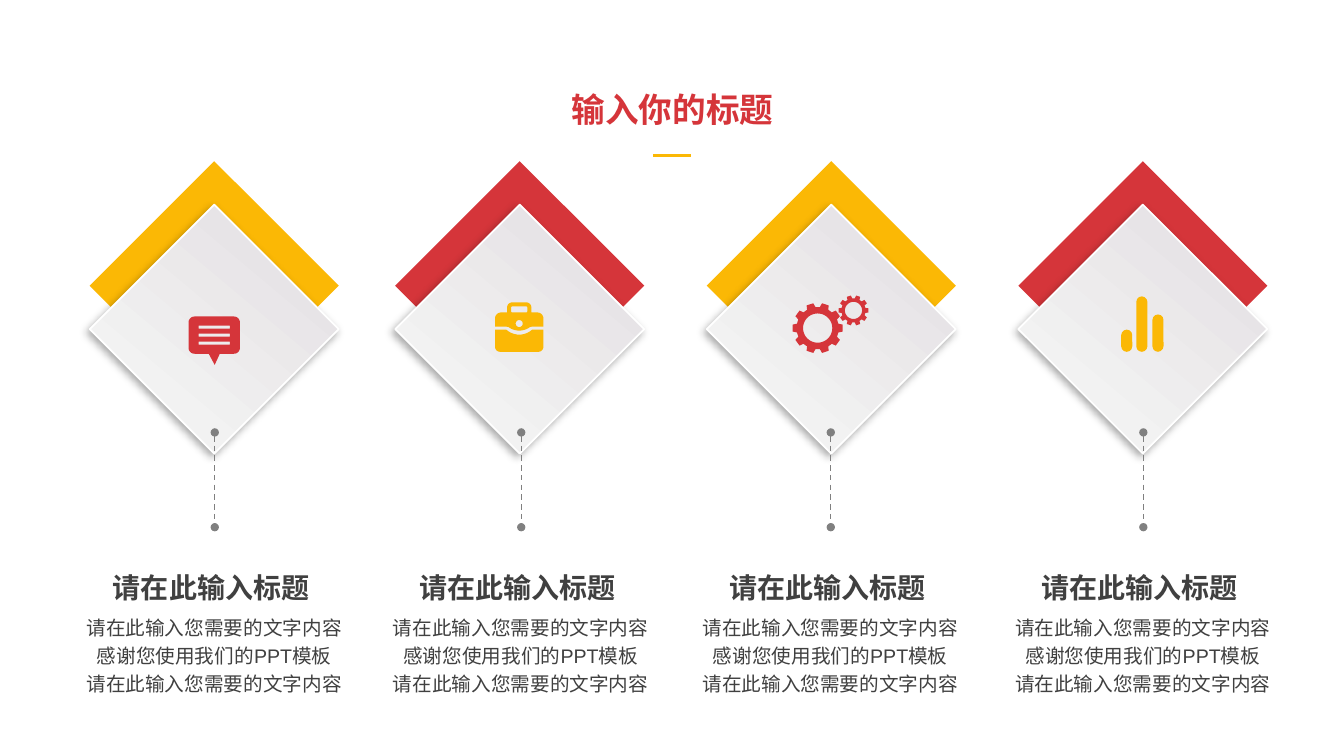
from dataclasses import dataclass
from math import cos, radians, sin

from lxml import etree
from pptx import Presentation
from pptx.dml.color import RGBColor
from pptx.enum.dml import MSO_LINE
from pptx.enum.shapes import MSO_CONNECTOR, MSO_SHAPE
from pptx.enum.text import PP_ALIGN
from pptx.oxml.ns import qn
from pptx.util import Emu, Pt

PX = 9144  # one px is a hundredth of an inch
CENTER = PP_ALIGN.CENTER
DASH = MSO_LINE.DASH
STRAIGHT = MSO_CONNECTOR.STRAIGHT
DIAMOND = MSO_SHAPE.DIAMOND
ROUNDED = MSO_SHAPE.ROUNDED_RECTANGLE


@dataclass(frozen=True)
class Theme:
    red: str = "D5353A"
    yellow: str = "FBB805"
    text: str = "404040"
    stem: str = "808080"
    white: str = "FFFFFF"
    card_dark: str = "E2DDE1"
    card_light: str = "F2F2F2"
    latin: str = "Arial"
    chinese: str = "Noto Sans CJK SC"
    title_size: int = 24
    heading_size: int = 20
    body_size: int = 14


THEME = Theme()
TITLE = "输入你的标题"
HEADING = "请在此输入标题"
BODY = ["请在此输入您需要的文字内容", "感谢您使用我们的PPT模板", "请在此输入您需要的文字内容"]


def px(value):
    return Emu(round(value * PX))


def rgb(value):
    return RGBColor.from_string(value)


# Basic elements
def paint(shape, color):
    shape.shadow.inherit = False
    shape.fill.solid()
    shape.fill.fore_color.rgb = rgb(color)
    shape.line.fill.background()


def add_preset(shapes, preset, left, top, width, height, color):
    shape = shapes.add_shape(preset, px(left), px(top), px(width), px(height))
    paint(shape, color)
    return shape


def add_outline(shapes, contours, color):
    emu_contours = [[(px(x), px(y)) for x, y in contour] for contour in contours]
    builder = shapes.build_freeform(*emu_contours[0][0], scale=1.0)
    builder.add_line_segments(emu_contours[0][1:], close=True)
    for contour in emu_contours[1:]:
        builder.move_to(*contour[0])
        builder.add_line_segments(contour[1:], close=True)
    paint(builder.convert_to_shape(), color)


def add_text(slide, lines, left, top, width, height, *, size, color,
             font=THEME.latin, bold=False, wrap=True, spacing=None):
    box = slide.shapes.add_textbox(px(left), px(top), px(width), px(height))
    frame = box.text_frame
    frame.word_wrap = wrap
    for index, line in enumerate(lines):
        paragraph = frame.paragraphs[0] if index == 0 else frame.add_paragraph()
        paragraph.alignment = CENTER
        if spacing:
            paragraph.line_spacing = spacing
        run = paragraph.add_run()
        run.text = line
        run.font.name = font
        run.font.size = Pt(size)
        run.font.bold = bold
        run.font.color.rgb = rgb(color)
        properties = run.font._element
        etree.SubElement(properties, qn("a:ea"), typeface=THEME.chinese)


def add_line(slide, start, end, color, weight, dotted_ends=False):
    connector = slide.shapes.add_connector(STRAIGHT, *map(px, start + end))
    connector.line.color.rgb = rgb(color)
    connector.line.width = Pt(weight)
    if dotted_ends:
        connector.line.dash_style = DASH
        line = connector.line._get_or_add_ln()
        for tag in ("a:headEnd", "a:tailEnd"):
            etree.SubElement(line, qn(tag), type="oval")
    etree.SubElement(connector._element.spPr, qn("a:effectLst"))


def add_card(slide, left, top, size):
    card = add_preset(slide.shapes, DIAMOND, left, top, size, size, THEME.card_light)
    card.fill.gradient()
    card.fill.gradient_angle = 230
    stops = ((0, THEME.card_dark), (0.76, THEME.card_light))
    for stop, (position, color) in zip(card.fill.gradient_stops, stops):
        stop.position = position
        stop.color.rgb = rgb(color)
    card.line.color.rgb = rgb(THEME.white)
    card.line.width = Pt(1.25)
    effects = card._element.spPr.find(qn("a:effectLst"))
    shadow = etree.SubElement(effects, qn("a:outerShdw"), blurRad=str(Pt(6)),
                              dist=str(Pt(3)), dir="8100000", algn="tr", rotWithShape="0")
    black = etree.SubElement(shadow, qn("a:srgbClr"), val="000000")
    etree.SubElement(black, qn("a:alpha"), val="32000")


# Outline geometry, with angles in degrees clockwise from the right
def arc(x, y, radius, start, end, steps=12):
    angles = [radians(start + (end - start) * step / steps) for step in range(steps + 1)]
    return [(x + radius * cos(angle), y + radius * sin(angle)) for angle in angles]


def circle(x, y, radius):
    return arc(x, y, radius, 0, 360, 48)[:-1]


def rectangle(left, top, right, bottom):
    return [(left, top), (right, top), (right, bottom), (left, bottom)]


def rounded(left, top, right, bottom, radius):
    return (arc(left + radius, top + radius, radius, 180, 270)
            + arc(right - radius, top + radius, radius, 270, 360)
            + arc(right - radius, bottom - radius, radius, 0, 90)
            + arc(left + radius, bottom - radius, radius, 90, 180))


def gear(x, y, radius, root, hole):
    teeth = []
    for angle in range(0, 360, 36):
        for turn, reach in ((-12, root), (-8, radius), (8, radius), (12, root)):
            teeth += arc(x, y, reach, angle + turn, angle + turn, 1)[:1]
    return [teeth, circle(x, y, hole)]


# Icons
def draw_chat(shapes, color):
    add_outline(shapes, [[(206, 349), (219, 349), (213, 362)]], color)
    text_bars = [rectangle(197, top, 228, top + 3) for top in (323, 331, 339)]
    add_outline(shapes, [rounded(187, 314, 238, 351, 6)] + text_bars, color)


def draw_briefcase(shapes, color):
    lower = ([(491, 327)] + arc(515, 313, 19, 132, 48) + [(539, 327)]
             + arc(534, 344, 5, 0, 90) + arc(496, 344, 5, 90, 180))
    upper = (arc(497, 316, 6, 180, 270) + [(503, 310)]
             + arc(508, 305, 5, 180, 270) + arc(522, 305, 5, 270, 360)
             + [(527, 310)] + arc(533, 316, 6, 270, 360) + [(539, 324)]
             + arc(515, 310, 18, 52, 128) + [(491, 324)])
    add_outline(shapes, [lower], color)
    add_outline(shapes, [upper, rounded(507, 304, 523, 310, 1), circle(515, 321, 3.5)], color)


def draw_gears(shapes, color):
    add_outline(shapes, gear(811, 325.5, 25, 21, 14.5), color)
    add_outline(shapes, gear(846.5, 308, 15, 12, 8.5), color)


def draw_bars(shapes, color):
    for left, top in ((1112, 327), (1127, 294), (1143, 312)):
        bar = add_preset(shapes, ROUNDED, left, top, 11, 349 - top, color)
        bar.adjustments[0] = 0.5


# One column: roof, card, icon, stem and texts
def add_column(slide, left, stem, draw_icon, roof_color, icon_color):
    add_preset(slide.shapes, DIAMOND, left, 160, 247, 247, roof_color)
    add_card(slide, left, 203, 247)
    draw_icon(slide.shapes.add_group_shape().shapes, icon_color)
    add_line(slide, (stem, 429), (stem, 523), THEME.stem, 1, dotted_ends=True)
    add_text(slide, [HEADING], stem - 112, 561, 217, 44, size=THEME.heading_size,
             color=THEME.text, bold=True, wrap=False)
    add_text(slide, BODY, stem - 167, 601, 333, 93, size=THEME.body_size,
             color=THEME.text, spacing=1.2)


def main():
    presentation = Presentation()
    presentation.slide_width, presentation.slide_height = px(1333), px(750)
    slide = presentation.slides.add_slide(presentation.slide_layouts[6])

    columns = ((89, 213, draw_chat), (392, 517, draw_briefcase),
               (701, 824, draw_gears), (1010, 1134, draw_bars))
    for index, (left, stem, draw_icon) in enumerate(columns):
        colors = (THEME.yellow, THEME.red) if index % 2 == 0 else (THEME.red, THEME.yellow)
        add_column(slide, left, stem, draw_icon, *colors)

    # Title with its underline
    add_text(slide, [TITLE], 525, 83, 284, 50, size=THEME.title_size,
             color=THEME.red, font=THEME.chinese, bold=True)
    add_line(slide, (648, 154), (685, 154), THEME.yellow, 2)

    presentation.save("out.pptx")


if __name__ == "__main__":
    main()
